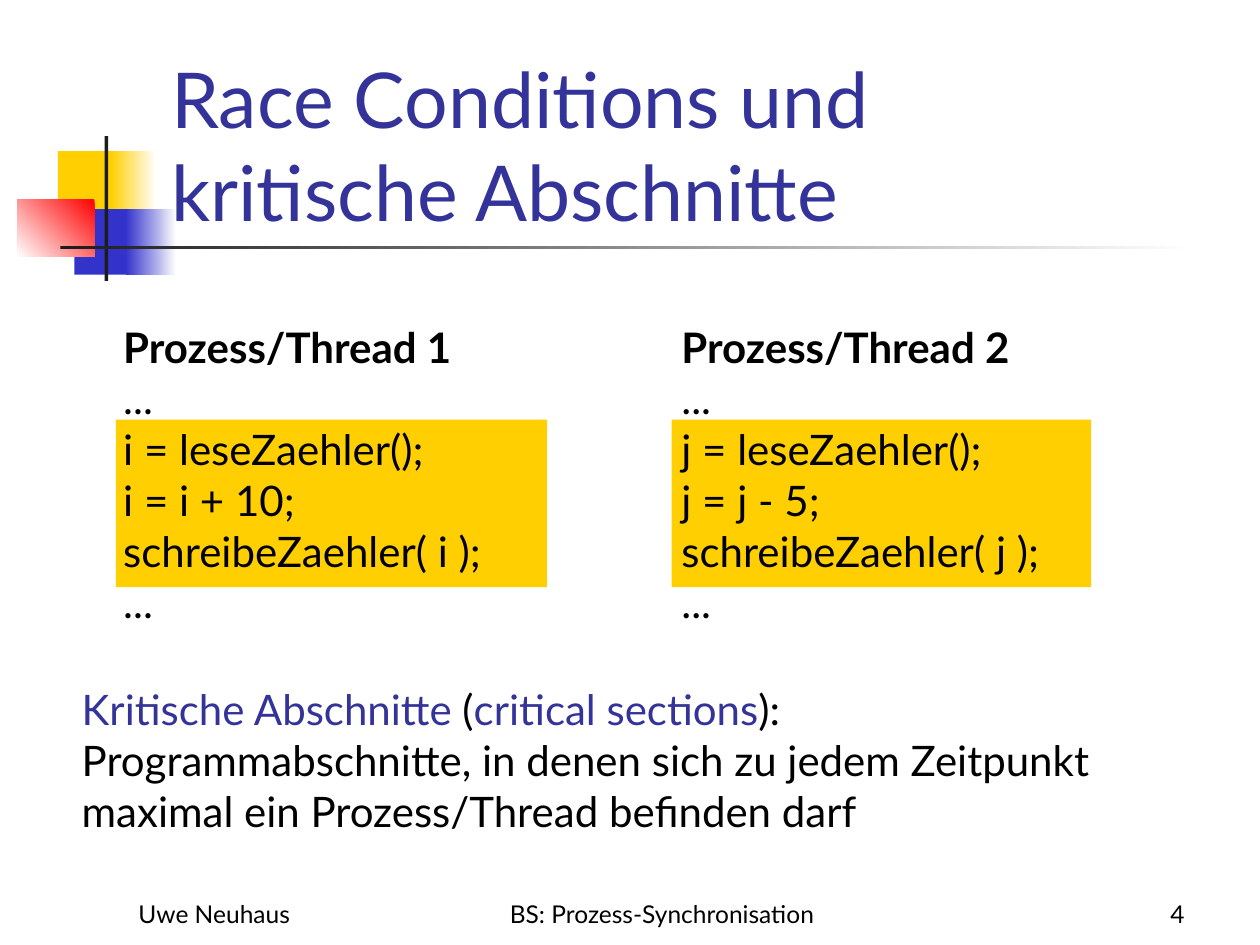
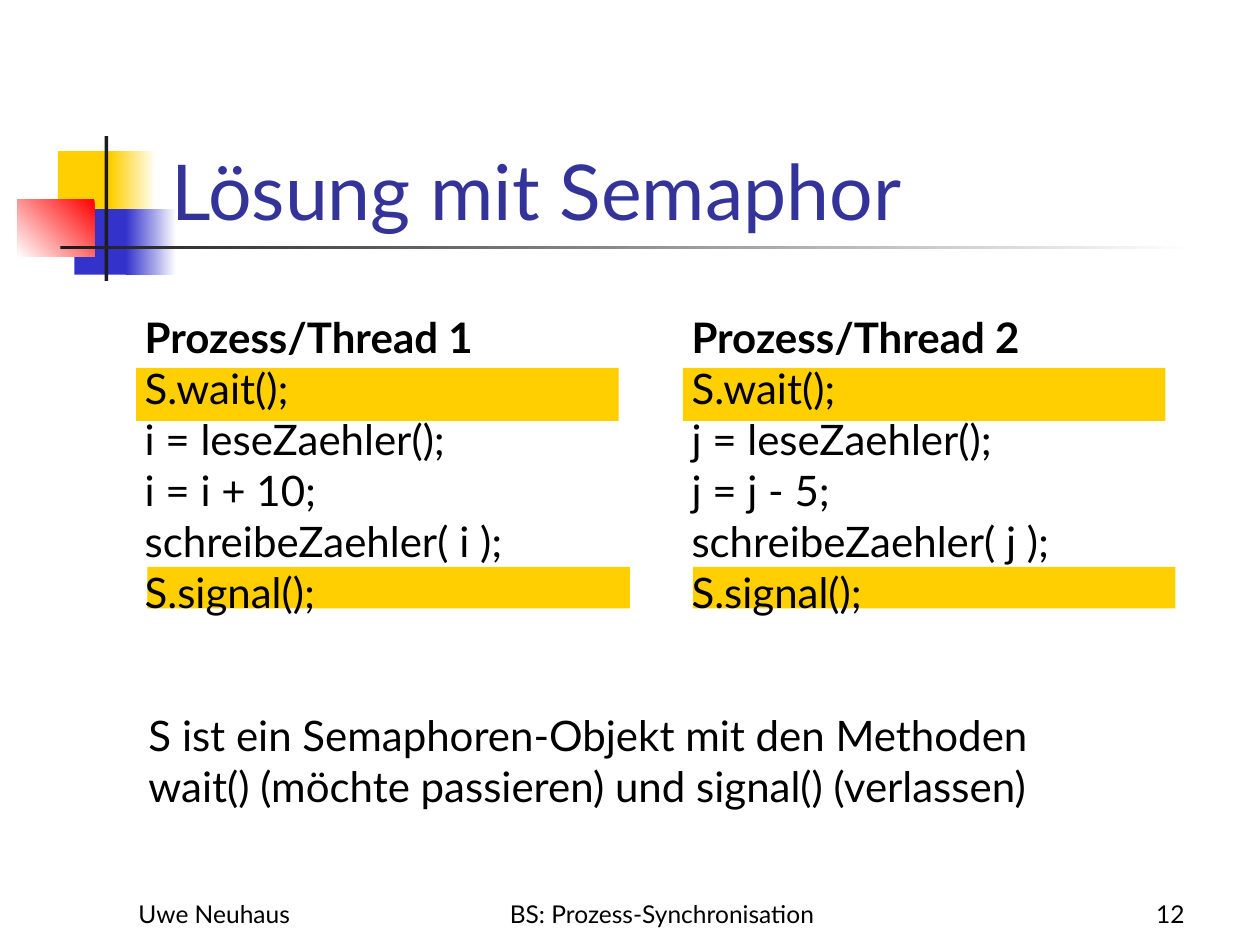
"""Builds two slides on critical sections and semaphores."""
from pptx import Presentation
from pptx.dml.color import RGBColor
from pptx.enum import shapes, text
from pptx.util import Inches, Pt

COLOURS = {
    "gold": "FFCF01", "blue": "3333CC", "red": "FF0000", "ink": "1C1C1C",
    "white": "FFFFFF", "title": "333399", "text": "000000",
}
FONT = "Lato"
ORNAMENT = [
    ((0.46, 1.2, 0.48, 0.52), ["gold"], 0),
    ((0.88, 1.2, 0.36, 0.52), ["gold", "white"], 0),
    ((0.59, 1.66, 0.46, 0.52), ["blue"], 0),
    ((1, 1.66, 0.4, 0.52), ["blue", "white"], 0),
    ((0.14, 1.58, 0.61, 0.46), ["red", "white"], 225),
    ((0.83, 1.08, 0.03, 1.15), ["ink"], 0),
    ((0.48, 1.95, 9, 0.03), ["ink", "white"], 0),
]
SLIDES = [
    {
        "number": "4",
        "title": ["Race Conditions und ", "kritische Abschnitte"],
        "title_place": (1.26, 0.35, 8.52, 1.58),
        "highlights": [(5.33, 3.33, 3.33, 1.33), (0.92, 3.33, 3.42, 1.33)],
        "code_left": [0.88, 5.31],
        "code_top": 2.5,
        "before": "...",
        "after": "...",
        "note_place": (0.55, 5.37, 8.88, 1.31),
        "note": [
            [("Kritische Abschnitte", "title"), (" (", "text"),
             ("critical sections", "title"),
             ("):\nProgrammabschnitte, in denen sich zu jedem Zeitpunkt", "text")],
            [("maximal ein Prozess/Thread befinden darf", "text")],
        ],
    },
    {
        "number": "12",
        "title": ["Lösung mit Semaphor"],
        "title_place": (1.26, 0.67, 8.52, 1.25),
        "highlights": [(1.17, 4.5, 3.83, 0.33), (1.08, 2.92, 3.83, 0.42),
                       (5.5, 4.5, 3.83, 0.33), (5.42, 2.92, 3.83, 0.42)],
        "code_left": [1.05, 5.39],
        "code_top": 2.42,
        "before": "S.wait();",
        "after": "S.signal();",
        "note_place": (1.08, 5.58, 7.82, 0.91),
        "note": [
            [("S ist ein Semaphoren-Objekt mit den Methoden", "text")],
            [("wait() (möchte passieren) und signal() (verlassen)", "text")],
        ],
    },
]


def add_block(page, place, colours, angle=0):
    block = page.shapes.add_shape(shapes.MSO_SHAPE.RECTANGLE, *map(Inches, place))
    block.shadow.inherit = False
    block.line.fill.background()
    if len(colours) == 1:
        block.fill.solid()
        block.fill.fore_color.rgb = RGBColor.from_string(COLOURS[colours[0]])
    else:
        block.fill.gradient()
        block.fill.gradient_angle = angle
        for stop, colour in zip(block.fill.gradient_stops, colours):
            stop.color.rgb = RGBColor.from_string(COLOURS[colour])


def write_text(box, paragraphs, place, size=24, align="LEFT", anchor="TOP", bold_first=False):
    box.left, box.top, box.width, box.height = map(Inches, place)
    frame = box.text_frame
    frame.word_wrap = True
    frame.auto_size = text.MSO_AUTO_SIZE.NONE
    frame.vertical_anchor = text.MSO_ANCHOR[anchor]
    for index, spans in enumerate(paragraphs):
        para = frame.add_paragraph() if index else frame.paragraphs[0]
        para.alignment = text.PP_ALIGN[align]
        para.line_spacing = 1.01
        para.space_before = Pt(0)
        for words, colour in spans:
            for line_index, line in enumerate(words.split("\n")):
                if line_index:
                    para.add_line_break()
                span = para.add_run()
                span.text = line
                span.font.name = FONT
                span.font.size = Pt(size)
                span.font.bold = bold_first and index == 0
                span.font.color.rgb = RGBColor.from_string(COLOURS[colour])


deck = Presentation()
deck.slide_width, deck.slide_height = Inches(10), Inches(7.5)

for content in SLIDES:
    page = deck.slides.add_slide(deck.slide_layouts.get_by_name("Title Only"))
    for place, colours, angle in ORNAMENT:
        add_block(page, place, colours, angle)

    footers = [
        ("Uwe Neuhaus", (1, 7.08, 2.08, 0.34), "LEFT"),
        ("BS: Prozess-Synchronisation", (3.67, 7.08, 3.17, 0.34), "CENTER"),
        (content["number"], (7.42, 7.08, 2.08, 0.34), "RIGHT"),
    ]
    for words, place, align in footers:
        box = page.shapes.add_textbox(0, 0, 0, 0)
        write_text(box, [[(words, "text")]], place, size=14, align=align, anchor="BOTTOM")

    for place in content["highlights"]:
        add_block(page, place, ["gold"])

    title = page.shapes.title
    page.shapes.element.append(title.element)
    write_text(title, [[("\n".join(content["title"]), "title")]],
               content["title_place"], size=44, anchor="BOTTOM")

    threads = zip(content["code_left"], ["i", "j"], ["i + 10", "j - 5"])
    for number, (left, name, change) in enumerate(threads, start=1):
        lines = [
            f"Prozess/Thread {number}", content["before"], f"{name} = leseZaehler();",
            f"{name} = {change};", f"schreibeZaehler( {name} );", content["after"],
        ]
        box = page.shapes.add_textbox(0, 0, 0, 0)
        write_text(box, [[(line, "text")] for line in lines],
                   (left, content["code_top"], 3.26, 2.53), bold_first=True)

    write_text(page.shapes.add_textbox(0, 0, 0, 0), content["note"], content["note_place"])

deck.save("out.pptx")
